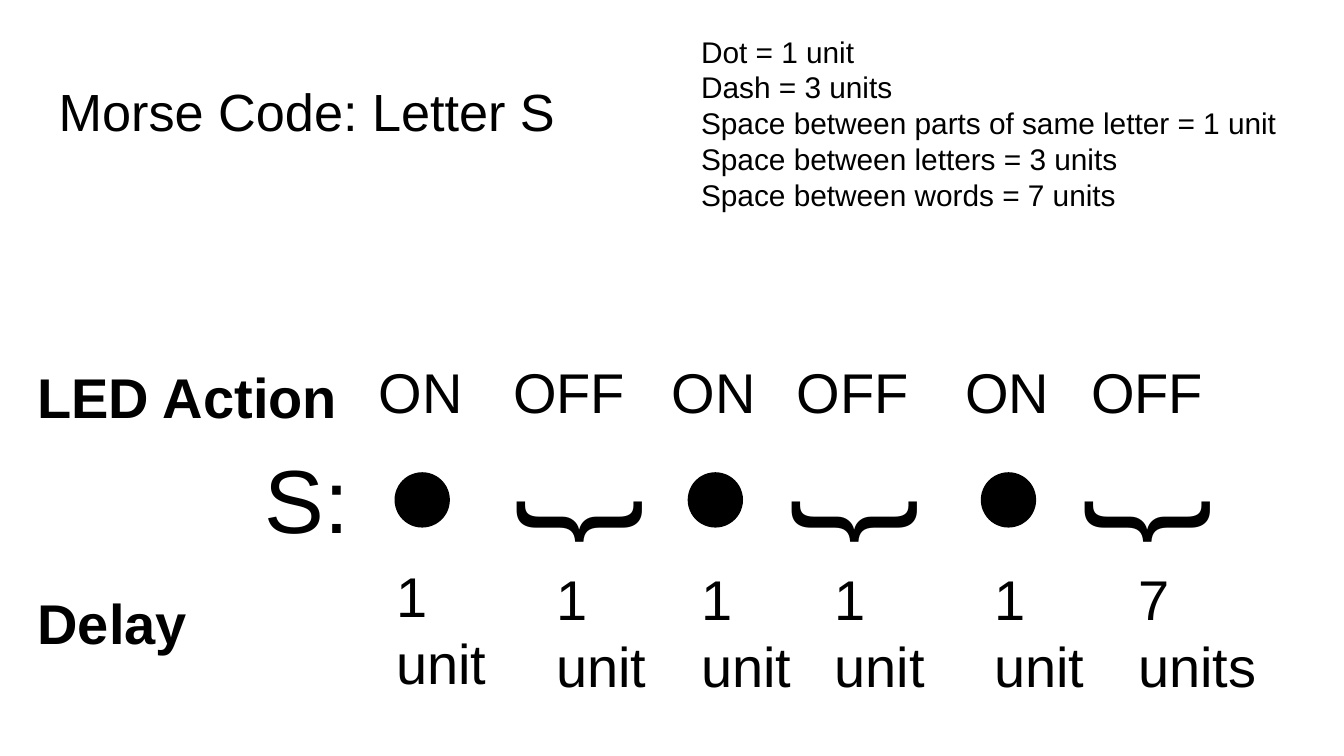
from dataclasses import dataclass

from lxml import etree
from pptx import Presentation
from pptx.dml.color import RGBColor
from pptx.enum.shapes import MSO_SHAPE
from pptx.enum.text import MSO_ANCHOR, MSO_AUTO_SIZE, PP_ALIGN
from pptx.oxml.ns import qn
from pptx.util import Cm, Pt

OVAL = MSO_SHAPE.OVAL
TOP, MIDDLE = MSO_ANCHOR.TOP, MSO_ANCHOR.MIDDLE
NO_FIT = MSO_AUTO_SIZE.NONE
LEFT = PP_ALIGN.LEFT


@dataclass(frozen=True)
class Theme:
    font: str = "Arial"
    ink: RGBColor = RGBColor(0, 0, 0)
    paper: RGBColor = RGBColor(255, 255, 255)
    title: int = 28
    rules: int = 16
    signal: int = 30
    letter: int = 48
    brace: int = 72
    inset: float = 0.25


THEME = Theme()

# Content (positions and sizes in cm)
TITLE = "Morse Code: Letter S"
RULES = [
    "Dot = 1 unit",
    "Dash = 3 units",
    "Space between parts of same letter = 1 unit",
    "Space between letters = 3 units",
    "Space between words = 7 units",
]
ROW_LABELS = [  # text, box, size, bold
    ("LED Action", (0.46, 6.6, 22.73, 1.6), THEME.signal, True),
    ("S:", (4.75, 8.15, 5.44, 3.2), THEME.letter, False),
    ("Delay", (0.46, 10.87, 6.05, 2.03), THEME.signal, True),
]
PAUSES = [(9.45, 9.73), (14.81, 14.94), (20.37, 20.47)]  # OFF left, brace left
DELAYS = [  # lines, left, top, width
    (["1 unit"], 7.24, 11.23, 2.64),
    (["1 unit"], 10.26, 11.28, 2.64),
    (["1 unit"], 13.0, 11.28, 2.36),
    (["1 unit"], 15.52, 11.28, 2.36),
    (["1 unit"], 18.54, 11.28, 2.72),
    (["7", "units"], 21.26, 11.28, 4.06),
]

# Row geometry
DOT_LEFT, DOT_TOP, DOT_SIZE, DOT_PITCH = 7.47, 8.94, 1.02, 5.54
ON_SHIFT, ON_WIDTH, OFF_WIDTH = -0.56, 2.13, 2.97
ACTION_TOP, ACTION_HEIGHT = 6.6, 1.6
BRACE_TOP, BRACE_WIDTH, BRACE_HEIGHT = 8.03, 1.6, 3.43
DELAY_HEIGHT = 1.32


def place(shape, box):
    shape.left, shape.top, shape.width, shape.height = map(Cm, box)


def write(shape, lines, size, bold=False, anchor=TOP):
    frame = shape.text_frame
    frame.word_wrap = True
    frame.auto_size = NO_FIT
    frame.vertical_anchor = anchor
    frame.margin_left = frame.margin_right = Cm(THEME.inset)
    frame.margin_top = frame.margin_bottom = Cm(THEME.inset)
    for index, line in enumerate(lines):
        paragraph = frame.add_paragraph() if index else frame.paragraphs[0]
        paragraph.alignment = LEFT
        run = paragraph.add_run()
        run.text = line
        run.font.name = THEME.font
        run.font.size = Pt(size)
        run.font.bold = bold
        run.font.color.rgb = THEME.ink


def add_label(slide, lines, box, size, bold=False, anchor=TOP):
    label = slide.shapes.add_textbox(*map(Cm, box))
    write(label, lines, size, bold, anchor)
    return label


def add_dot(slide, left):
    dot = slide.shapes.add_shape(
        OVAL, Cm(left), Cm(DOT_TOP), Cm(DOT_SIZE), Cm(DOT_SIZE))
    dot.shadow.inherit = False
    dot.fill.solid()
    dot.fill.fore_color.rgb = THEME.ink
    dot.line.color.rgb = THEME.ink
    dot.line.width = Pt(0.75)


def main():
    deck = Presentation()
    deck.slide_width, deck.slide_height = Cm(25.4), Cm(14.29)
    slide = deck.slides.add_slide(deck.slide_layouts[1])
    slide.background.fill.solid()
    slide.background.fill.fore_color.rgb = THEME.paper

    # Title and timing rules
    title, rules = slide.placeholders
    place(title, (0.86, 1.24, 23.67, 1.6))
    write(title, [TITLE], THEME.title)
    place(rules, (13.0, 0.38, 11.91, 4.32))
    write(rules, RULES, THEME.rules)
    for paragraph in rules.text_frame.paragraphs:
        paragraph.space_before = Pt(0)
        properties = paragraph._p.get_or_add_pPr()
        properties.set("marL", "0")
        properties.set("indent", "0")
        etree.SubElement(properties, qn("a:buNone"))

    # Row labels
    for text, box, size, bold in ROW_LABELS:
        add_label(slide, [text], box, size, bold)

    # Each dot is followed by a pause
    for index, (off_left, brace_left) in enumerate(PAUSES):
        dot_left = DOT_LEFT + index * DOT_PITCH
        add_dot(slide, dot_left)
        brace = add_label(
            slide, ["{"], (brace_left, BRACE_TOP, BRACE_WIDTH, BRACE_HEIGHT),
            THEME.brace)
        brace.rotation = 270
        for action, left, width in (("ON", dot_left + ON_SHIFT, ON_WIDTH),
                                    ("OFF", off_left, OFF_WIDTH)):
            add_label(slide, [action], (left, ACTION_TOP, width, ACTION_HEIGHT),
                      THEME.signal, anchor=MIDDLE)

    # Delays
    for lines, left, top, width in DELAYS:
        add_label(slide, lines, (left, top, width, DELAY_HEIGHT),
                  THEME.signal, anchor=MIDDLE)

    deck.save("out.pptx")


if __name__ == "__main__":
    main()
